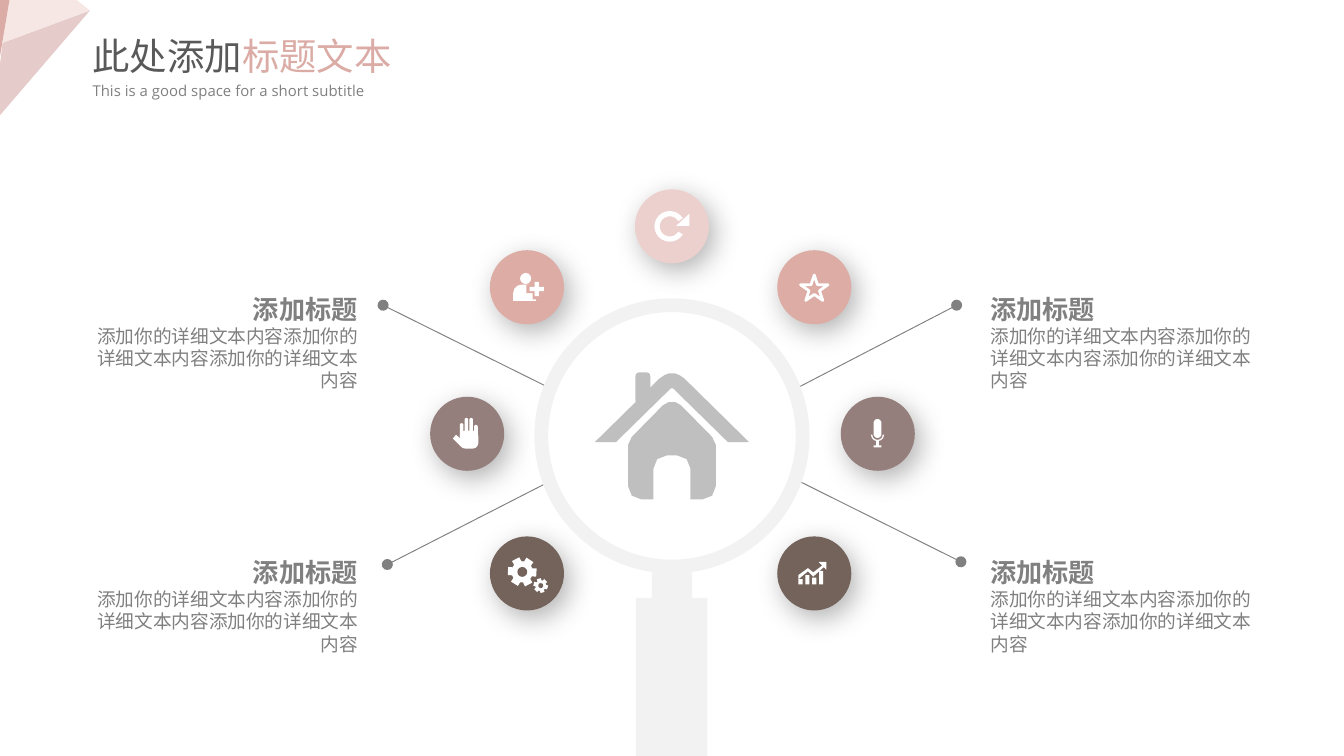
from math import cos, radians, sin

from pptx import Presentation
from pptx.dml.color import RGBColor
from pptx.enum.shapes import MSO_CONNECTOR, MSO_SHAPE
from pptx.enum.text import MSO_AUTO_SIZE, PP_ALIGN
from pptx.oxml import parse_xml
from pptx.oxml.ns import nsdecls
from pptx.util import Cm, Pt

WHITE = RGBColor(0xFF, 0xFF, 0xFF)
PALE = RGBColor(0xF2, 0xF2, 0xF2)
SILVER = RGBColor(0xBF, 0xBF, 0xBF)
GRAY = RGBColor(0x80, 0x80, 0x80)
DARK = RGBColor(0x59, 0x59, 0x59)
BLUSH = RGBColor(0xEC, 0xD0, 0xCD)
ROSE = RGBColor(0xDC, 0xAC, 0xA5)
CORAL = RGBColor(0xDB, 0xAC, 0xA5)
MAUVE = RGBColor(0x95, 0x7F, 0x7C)
BROWN = RGBColor(0x73, 0x63, 0x5B)
PINK = RGBColor(0xE5, 0xCB, 0xC9)
CREAM = RGBColor(0xF6, 0xE7, 0xE4)
FONT = "Open Sans"
TURN = 0.6  # adjustment value of one degree
MID = 12.7

deck = Presentation()
deck.slide_width, deck.slide_height = Cm(25.4), Cm(14.29)
slide = deck.slides.add_slide(deck.slide_layouts[6])
shapes = slide.shapes


def place(kind, color, x, y, w, h, *adjust):
    """Add a filled preset shape, measured in centimetres."""
    shape = shapes.add_shape(kind, Cm(x), Cm(y), Cm(w), Cm(h))
    shape.fill.solid()
    shape.fill.fore_color.rgb = color
    shape.line.fill.background()
    shape.shadow.inherit = False
    for i, value in enumerate(adjust):
        shape.adjustments[i] = value
    return shape


def draw(color, points):
    """Add a filled polygon, measured in centimetres."""
    spots = [(Cm(x), Cm(y)) for x, y in points]
    pen = shapes.build_freeform(*spots[0])
    pen.add_line_segments(spots[1:], close=True)
    shape = pen.convert_to_shape()
    shape.fill.solid()
    shape.fill.fore_color.rgb = color
    shape.line.fill.background()
    shape.shadow.inherit = False


# Lines from the lens to the four texts
for x1, y1, x2, y2 in [(10.36, 7.32, 7.24, 5.77), (15.09, 9.09, 18.16, 10.62),
                       (15.09, 7.32, 18.08, 5.77), (10.41, 9.09, 7.32, 10.67)]:
    line = shapes.add_connector(MSO_CONNECTOR.STRAIGHT, Cm(x1), Cm(y1), Cm(x2), Cm(y2))
    line.line.color.rgb = GRAY
    line.line.width = Pt(0.5)
    line.line._get_or_add_ln().append(
        parse_xml(f'<a:tailEnd {nsdecls("a")} type="oval"/>'))
    line._element.spPr.append(parse_xml(f'<a:effectLst {nsdecls("a")}/>'))

# Round badges
for x, y, color in [(12, 3.58, BLUSH), (14.69, 4.73, ROSE), (15.89, 7.5, MAUVE),
                    (8.13, 7.5, MAUVE), (9.26, 10.14, BROWN),
                    (14.69, 10.14, BROWN), (9.26, 4.73, ROSE)]:
    disc = place(MSO_SHAPE.OVAL, color, x, y, 1.4, 1.4)
    disc._element.spPr.effectLst.append(parse_xml(
        f'<a:outerShdw {nsdecls("a")} blurRad="{Pt(15)}" dist="{Pt(5)}" '
        f'dir="{55 * 60000}" algn="tl" rotWithShape="0">'
        '<a:srgbClr val="000000"><a:alpha val="30000"/></a:srgbClr></a:outerShdw>'))

# Reload arrow
place(MSO_SHAPE.BLOCK_ARC, WHITE, 12.37, 3.99, 0.58, 0.58, 32 * TURN, 328 * TURN, 0.17)
draw(WHITE, [(13.03, 4.04), (13.03, 4.27), (12.78, 4.27)])

# Star
star = place(MSO_SHAPE.STAR_5_POINT, WHITE, 15.13, 5.2, 0.52, 0.48)
star.fill.background()
star.line.color.rgb = WHITE
star.line.width = Pt(1.5)

# Person with plus
place(MSO_SHAPE.OVAL, WHITE, 9.83, 5.16, 0.21, 0.21)
place(MSO_SHAPE.ROUND_2_SAME_RECTANGLE, WHITE, 9.7, 5.38, 0.43, 0.31, 0.5)
place(MSO_SHAPE.CROSS, ROSE, 9.95, 5.27, 0.39, 0.39, 0.3)
place(MSO_SHAPE.CROSS, WHITE, 10.01, 5.33, 0.27, 0.27, 0.35)

# Hand
for i, top in enumerate([8, 7.9, 7.9, 8.03]):
    place(MSO_SHAPE.ROUNDED_RECTANGLE, WHITE, 8.69 + 0.09 * i, top, 0.07, 8.35 - top, 0.5)
place(MSO_SHAPE.ROUNDED_RECTANGLE, WHITE, 8.69, 8.14, 0.35, 0.34, 0.3)
draw(WHITE, [(8.7, 8.29), (8.62, 8.22), (8.56, 8.29), (8.72, 8.45)])

# Bars and rising arrow
for i, top in enumerate([10.95, 10.87, 10.92, 10.79]):
    place(MSO_SHAPE.RECTANGLE, WHITE, 15.09 + 0.13 * i, top, 0.08, 11.05 - top)
draw(WHITE, [(15.47, 10.62), (15.54, 10.69), (15.37, 10.82), (15.27, 10.74),
             (15.09, 10.87), (15.09, 10.95), (15.27, 10.8), (15.37, 10.9),
             (15.57, 10.72), (15.62, 10.77), (15.62, 10.62)])

# Gears with six teeth
for x, y, r, tilt in [(9.87, 10.81, 0.28, 3), (10.22, 11.07, 0.14, 15)]:
    rim = []
    for tooth in range(6):
        for turn, reach in [(-22, 0.72), (-16, 1), (16, 1), (22, 0.72)]:
            angle = radians(60 * tooth + turn + tilt)
            rim.append((x + r * reach * cos(angle), y + r * reach * sin(angle)))
    draw(WHITE, rim)
    hole = r / 3
    place(MSO_SHAPE.OVAL, BROWN, x - hole, y - hole, 2 * hole, 2 * hole)

# Microphone
place(MSO_SHAPE.ROUNDED_RECTANGLE, WHITE, 16.51, 7.92, 0.15, 0.36, 0.5)
place(MSO_SHAPE.BLOCK_ARC, WHITE, 16.46, 8.09, 0.25, 0.25, 0, 180 * TURN, 0.1)
place(MSO_SHAPE.RECTANGLE, WHITE, 16.56, 8.33, 0.05, 0.11)
place(MSO_SHAPE.RECTANGLE, WHITE, 16.51, 8.42, 0.15, 0.04)

# House: right halves of walls and roof, mirrored about the middle
walls = [(0.06, 7.6), (0.17, 7.66), (0.76, 8.26), (0.83, 8.41), (0.83, 9.19),
         (0.76, 9.37), (0.58, 9.44), (0.35, 9.44), (0.35, 8.86), (0.28, 8.68), (0.1, 8.61)]
roof = [(0.06, 7.06), (0.14, 7.09), (0.24, 7.16), (1.46, 8.36), (1.06, 8.36), (0.02, 7.34)]
for half in (walls, roof):
    draw(SILVER, [(MID + x, y) for x, y in half]
         + [(MID - x, y) for x, y in reversed(half)])
place(MSO_SHAPE.ROUNDED_RECTANGLE, SILVER, 12.01, 7.04, 0.28, 0.6, 0.25)

# Four texts
for x, align in [(1.55, PP_ALIGN.RIGHT), (18.72, PP_ALIGN.LEFT)]:
    for y in (5.54, 10.52):
        frame = shapes.add_textbox(Cm(x), Cm(y), Cm(5.21), Cm(1.88)).text_frame
        frame.word_wrap = True
        frame.auto_size = MSO_AUTO_SIZE.SHAPE_TO_FIT_TEXT
        frame.margin_left = frame.margin_right = frame.margin_top = frame.margin_bottom = 0
        frame.text = "添加标题\n" + "添加你的详细文本内容" * 3
        for para, size in zip(frame.paragraphs, (14, 10)):
            para.alignment = align
            font = para.runs[0].font
            font.name, font.size, font.bold = FONT, Pt(size), size == 14
            font.color.rgb = GRAY

# Magnifier
place(MSO_SHAPE.DONUT, PALE, 10.1, 5.64, 5.2, 5.2, 0.05)
place(MSO_SHAPE.RECTANGLE, PALE, 12.32, 10.74, 0.76, 0.79)
place(MSO_SHAPE.RECTANGLE, PALE, 12.02, 11.3, 1.35, 2.99)

# Corner facets
draw(PINK, [(1.7, 0.2), (0.05, 0.81), (0, 1.22), (0, 2.18)])
draw(CREAM, [(1.7, 0.2), (1.45, 0), (0.18, 0), (0.05, 0.81)])
draw(CORAL, [(0.18, 0), (0, 0), (0, 1.07)])

# Heading
for y, w, h, size, parts in [
        (0.51, 6.22, 1.12, 20, [("此处添加", DARK), ("标题文本", CORAL)]),
        (1.42, 5.77, 0.61, 8, [("This is a good space for a short subtitle", GRAY)])]:
    frame = shapes.add_textbox(Cm(1.5), Cm(y), Cm(w), Cm(h)).text_frame
    frame.word_wrap = False
    frame.auto_size = MSO_AUTO_SIZE.SHAPE_TO_FIT_TEXT
    for text, color in parts:
        run = frame.paragraphs[0].add_run()
        run.text = text
        run.font.name, run.font.size = FONT, Pt(size)
        run.font.color.rgb = color

deck.save("out.pptx")
